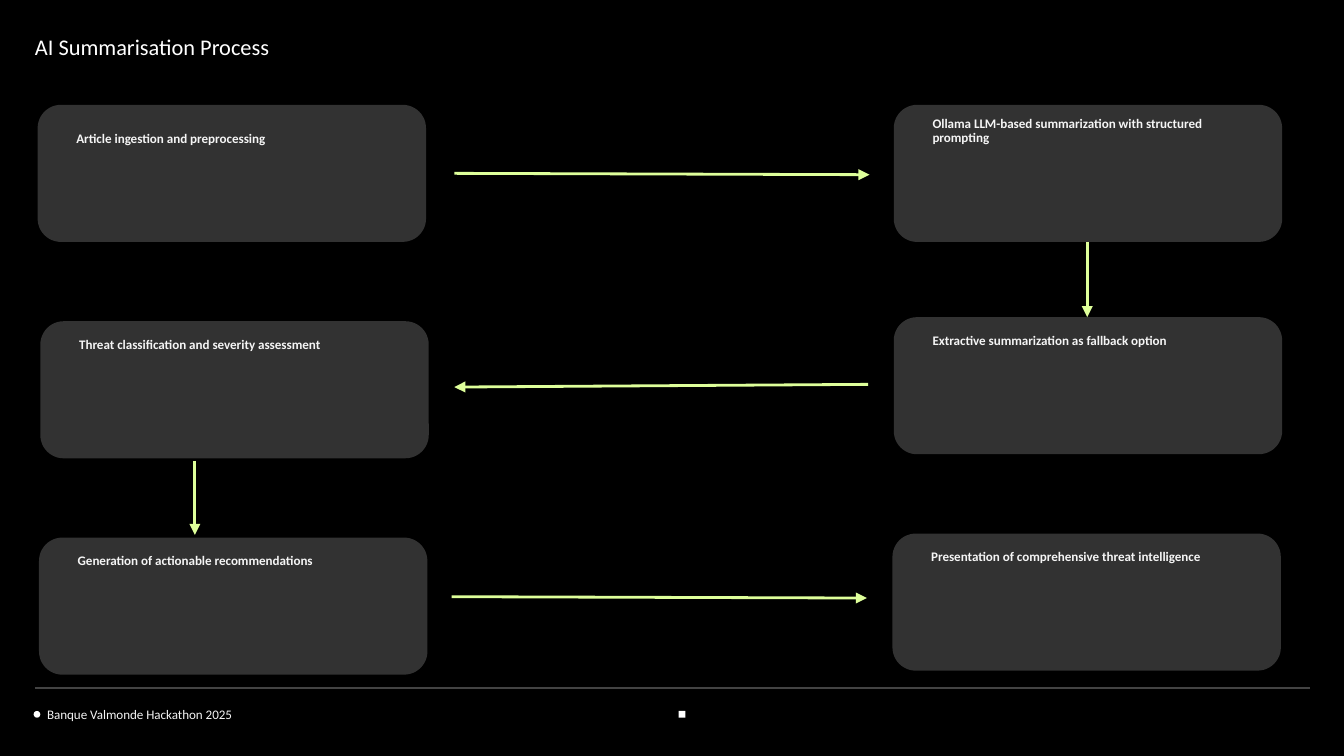
"""Build the AI summarisation process slide."""
from lxml import etree
from pptx import Presentation
from pptx.dml.color import RGBColor
from pptx.enum import shapes, text
from pptx.oxml.ns import qn
from pptx.util import Inches, Pt

BLACK = RGBColor(0x00, 0x00, 0x00)
WHITE = RGBColor(0xFF, 0xFF, 0xFF)
OFF_WHITE = RGBColor(0xF5, 0xF5, 0xF5)
CARD = RGBColor(0x32, 0x32, 0x32)
RULE = RGBColor(0x43, 0x43, 0x43)
LIME = RGBColor(0xDE, 0xFF, 0x9A)

CARD_W, CARD_H = 2.89, 1.02
CARDS = [
    (0.28, 0.78, 0.11, "Article ingestion and preprocessing"),
    (6.65, 0.78, 0, "Ollama LLM-based summarization with structured prompting"),
    (6.65, 2.36, 0.03, "Extractive summarization as fallback option"),
    (0.3, 2.39, 0.03, "Threat classification and severity assessment"),
    (6.64, 3.97, 0.03, "Presentation of comprehensive threat intelligence"),
    (0.29, 4, 0.03, "Generation of actionable recommendations"),
]
ARROWS = [
    (3.38, 1.29, 6.47, 1.3),
    (6.46, 2.86, 3.38, 2.88),
    (3.36, 4.44, 6.45, 4.45),
    (8.09, 1.8, 8.09, 2.36),
    (1.45, 3.43, 1.45, 3.98),
]


def write(sp, content, size, color, inset=0, spacing=1.0, bold=False,
          anchor=text.MSO_ANCHOR.TOP):
    tf = sp.text_frame
    tf.text = content
    tf.word_wrap = True
    tf.auto_size = text.MSO_AUTO_SIZE.NONE
    tf.vertical_anchor = anchor
    tf.margin_left = tf.margin_right = Inches(inset)
    tf.margin_top = tf.margin_bottom = Inches(inset)
    p = tf.paragraphs[0]
    p.alignment = text.PP_ALIGN.LEFT
    p.line_spacing = spacing
    p.space_before = Pt(0)
    r = p.runs[0]
    r.font.name = "Calibri"
    r.font.size = Pt(size)
    r.font.bold = bold
    r.font.color.rgb = color


def add_line(ends, color, width):
    sp = s.shapes.add_connector(shapes.MSO_CONNECTOR.STRAIGHT, *map(Inches, ends))
    sp.line.color.rgb = color
    sp.line.width = Pt(width)
    etree.SubElement(sp._element.spPr, qn("a:effectLst"))
    return sp


prs = Presentation()
prs.slide_width = Inches(10)
prs.slide_height = Inches(10) * 9 // 16
s = prs.slides.add_slide(prs.slide_layouts[5])
s.background.fill.solid()
s.background.fill.fore_color.rgb = BLACK

title = s.shapes.title
title.left, title.top = Inches(0.26), Inches(0.25)
title.width, title.height = Inches(2.4), Inches(0.25)
write(title, "AI Summarisation Process", 12, WHITE)

add_line((0.26, 5.12, 9.75, 5.12), RULE, 0.75)
for kind, x in [(shapes.MSO_SHAPE.OVAL, 0.25), (shapes.MSO_SHAPE.RECTANGLE, 5.05)]:
    sp = s.shapes.add_shape(kind, Inches(x), Inches(5.29), Inches(0.05), Inches(0.05))
    sp.shadow.inherit = False
    sp.fill.solid()
    sp.fill.fore_color.rgb = WHITE
    sp.line.fill.background()

footer = s.shapes.add_textbox(Inches(0.35), Inches(5.11), Inches(2.95), Inches(0.26))
write(footer, "Banque Valmonde Hackathon 2025", 7, OFF_WHITE, spacing=1.15,
      anchor=text.MSO_ANCHOR.BOTTOM)

for x, y, drop, label in CARDS:
    sp = s.shapes.add_shape(shapes.MSO_SHAPE.ROUNDED_RECTANGLE, Inches(x), Inches(y),
                            Inches(CARD_W), Inches(CARD_H))
    sp.adjustments[0] = 0.17
    sp.shadow.inherit = False
    sp.fill.solid()
    sp.fill.fore_color.rgb = CARD
    sp.line.fill.background()
    box = s.shapes.add_textbox(Inches(x + 0.19), Inches(y + drop), Inches(2.51), Inches(0.67))
    write(box, label, 7, OFF_WHITE, inset=0.1, spacing=0.85, bold=True)

for ends in ARROWS:
    sp = add_line(ends, LIME, 1.5)
    etree.SubElement(sp.line._get_or_add_ln(), qn("a:tailEnd"), type="triangle")

prs.save("out.pptx")
